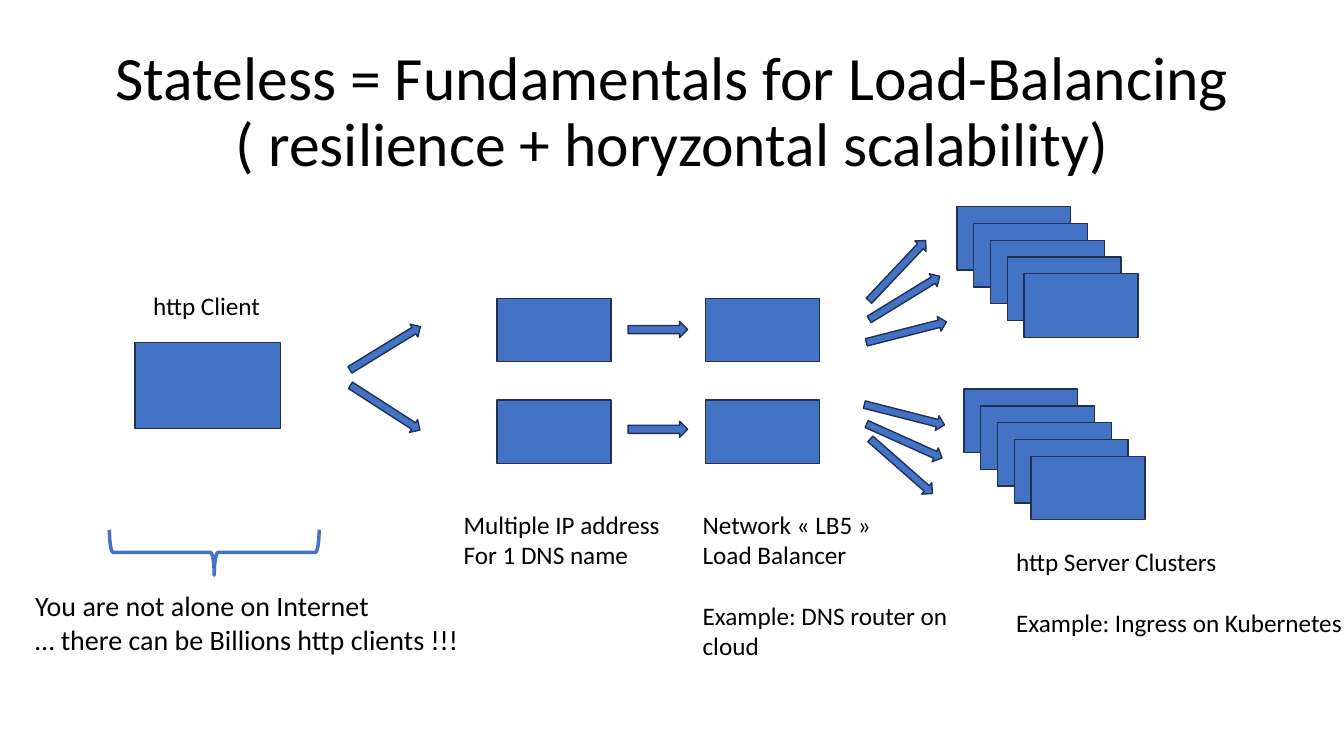
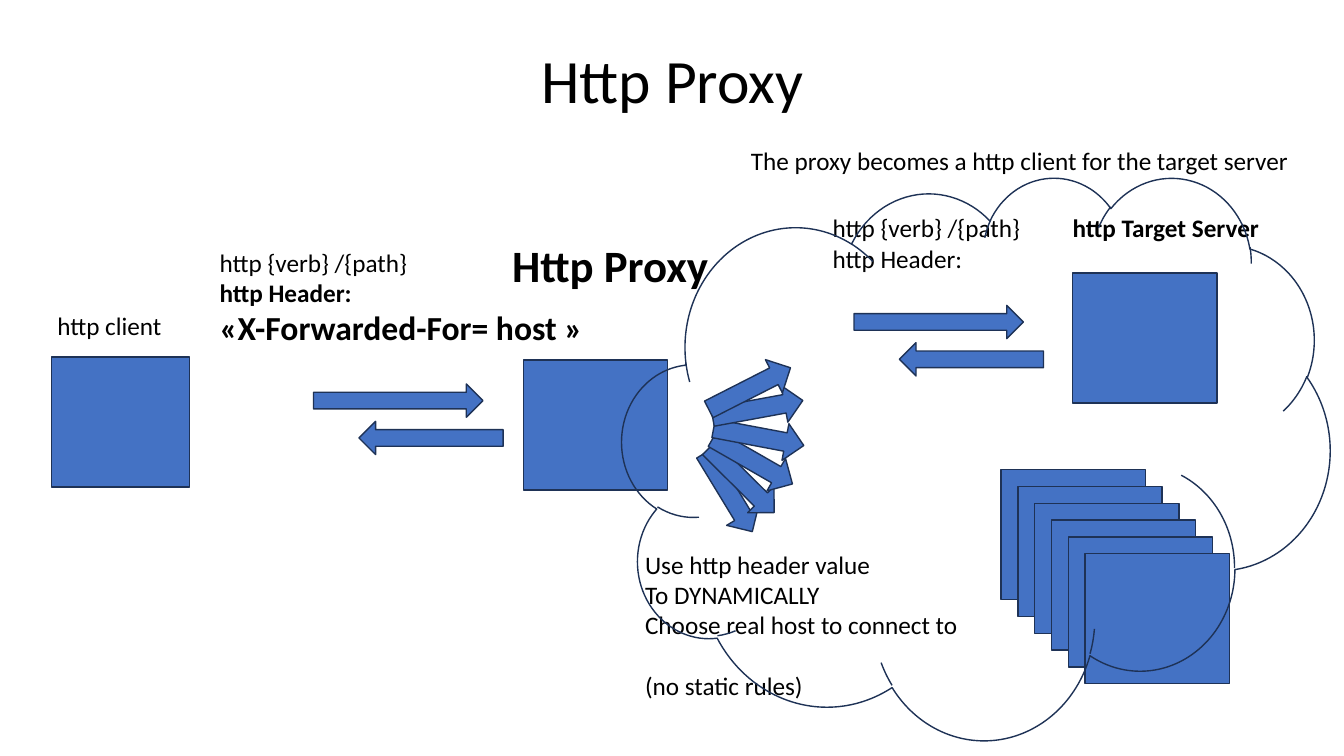
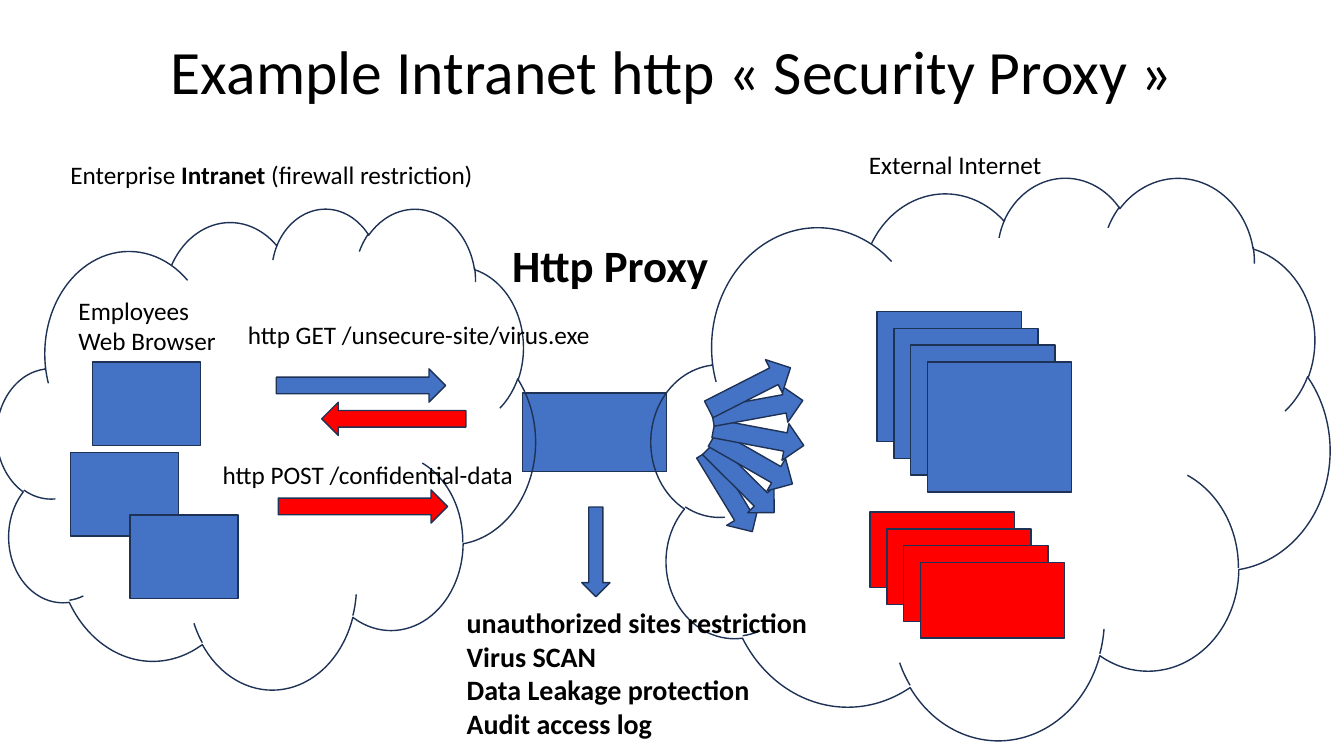
from pptx import Presentation
from pptx.dml.color import RGBColor
from pptx.enum.shapes import MSO_SHAPE
from pptx.enum.text import MSO_ANCHOR, MSO_AUTO_SIZE, PP_ALIGN
from pptx.util import Inches, Pt

RECT = MSO_SHAPE.RECTANGLE
RIGHT = MSO_SHAPE.RIGHT_ARROW
DOWN = MSO_SHAPE.DOWN_ARROW
CLOUD = MSO_SHAPE.CLOUD
BRACE = MSO_SHAPE.LEFT_BRACE
CENTER = PP_ALIGN.CENTER
MIDDLE = MSO_ANCHOR.MIDDLE
FIT = MSO_AUTO_SIZE.SHAPE_TO_FIT_TEXT
NO_FIT = MSO_AUTO_SIZE.NONE

COLS, ROWS = 13.33, 7.5
FONT = "Calibri"
BLUE, RED, NAVY, BLACK = "4472C4", "FF0000", "1E3256", "000000"
STEP = 1 / 6
BLANK_LINE = 22
BOLD = {"bold": True}


def color(value):
    return RGBColor.from_string(value)


def grid(box):
    return [Inches(v) for v in box]


def style(font, **extra):
    font.color.rgb = color(BLACK)
    for name, value in {"name": FONT, **extra}.items():
        setattr(font, name, value)


def shape(s, kind, box, fill=BLUE, rot=0, line=NAVY, width=1):
    sp = s.shapes.add_shape(kind, *grid(box))
    sp.shadow.inherit = False
    sp.rotation = rot
    if fill:
        sp.fill.solid()
        sp.fill.fore_color.rgb = color(fill)
    else:
        sp.fill.background()
    sp.line.color.rgb = color(line)
    sp.line.width = Pt(width)
    return sp


def text(s, box, lines, size=18, bold=False, gap_at=None):
    tf = s.shapes.add_textbox(*grid(box)).text_frame
    tf.word_wrap = False
    tf.auto_size = FIT
    for i, line in enumerate(lines):
        p = tf.add_paragraph() if i else tf.paragraphs[0]
        if i == gap_at:
            p.space_before = Pt(BLANK_LINE)
        for words, extra in [(line, {})] if isinstance(line, str) else line:
            r = p.add_run()
            r.text = words
            style(r.font, **{"size": Pt(size), "bold": bold, **extra})


def titled_slide(prs, title, top=0.4, height=1.45):
    s = prs.slides.add_slide(prs.slide_layouts[5])
    sp = s.shapes.title
    sp.left, sp.top, sp.width, sp.height = grid((0.92, top, 11.5, height))
    tf = sp.text_frame
    tf.text = title
    tf.word_wrap = True
    tf.auto_size = NO_FIT
    tf.vertical_anchor = MIDDLE
    p = tf.paragraphs[0]
    p.alignment = CENTER
    p.line_spacing = 0.9
    for r in p.runs:
        style(r.font, size=Pt(44))
    return s


def cascade(s, box, count, fill=BLUE):
    x, y, w, h = box
    for i in range(count):
        shape(s, RECT, (x + i * STEP, y + i * STEP, w, h), fill)


def spread(s, box, arrows):
    x, y, w, h = box
    for dx, dy, rot in arrows:
        shape(s, RIGHT, (x + dx, y + dy, w, h), rot=rot)


def fan(s, box):
    x, y, w, h = box
    for dx, dy, rot in ((0, 1.03, 328.7), (0.13, 0.91, 314.8), (0.24, 0.72, 299.8),
                        (0.3, 0.48, 280.7), (0.29, 0.2, 259.6), (0.21, 0, 243)):
        shape(s, DOWN, (x + dx, y + dy, w, h), rot=rot)


def exchange(s, x, y, drop=0.37, reply=BLUE):
    shape(s, RIGHT, (x, y, 1.68, 0.33))
    shape(s, RIGHT, (x + 0.45, y + drop, 1.43, 0.33), reply, 180)


def proxy(s, box):
    shape(s, RECT, box)
    text(s, (4.98, 2.31, 2.18, 0.64), ["Http Proxy"], 32, True)


def internet_clients(s, x, y):
    shape(s, RECT, (x + 1.09, y + 0.57, 1.44, 0.85))
    text(s, (x + 1.17, y, 1.28, 0.4), ["http Client"])
    shape(s, BRACE, (x + 1.65, y + 1.61, 0.45, 2.08), None, 270, BLUE, 2.5)
    text(s, (x, y + 2.96, 4.45, 0.77),
         ["You are not alone on Internet", "… there can be Billions http clients !!!"], 20)
    spread(s, (x + 3.16, y + 0.55, 0.82, 0.15), ((0, 0, 328.5), (0, 0.59, 32.8)))


def balancers(s, x, y):
    for row in range(2):
        top = y + row * 1.01
        for col in range(2):
            shape(s, RECT, (x + col * 2.07, top, 1.13, 0.63))
        shape(s, RIGHT, (x + 1.3, y + 0.23 + row * 0.99, 0.59, 0.16))
    text(s, (x - 0.43, y + 2.04, 2.17, 0.71), ["Multiple IP address", "For 1 DNS name"])
    text(s, (x + 1.94, y + 2.04, 2.91, 1.31),
         ["Network « LB5 »", "Load Balancer", "Example: DNS router on cloud"], gap_at=2)


def server_clusters(s, x, y):
    spread(s, (x, y, 0.82, 0.15),
           ((0.07, 0.83, 328.5), (0.09, 1.17, 345.7), (0, 0.56, 313.3),
            (0.07, 1.99, 14.3), (0.04, 2.5, 41.3), (0.07, 2.25, 24.2)))
    for dx, dy in ((1, 0), (1.07, 1.81)):
        cascade(s, (x + dx, y + dy, 1.13, 0.63), 5)
    text(s, (x + 1.49, y + 3.32, 3.47, 1.01),
         ["http Server Clusters", "Example: Ingress on Kubernetes"], gap_at=1)


def proxy_client(s, x, y):
    shape(s, RECT, (x + 0.04, y + 1.14, 1.37, 1.29))
    text(s, (x, y + 0.63, 1.25, 0.4), ["http client"])
    exchange(s, x + 2.64, y + 1.41)
    text(s, (x + 1.61, y, 3.85, 1.11),
         ["http {verb} /{path}", [("http Header:", BOLD)],
          [("«X-Forwarded-For= host »", {"bold": True, "size": Pt(24)})]])


def target_servers(s, box):
    x, y, w, h = box
    exchange(s, x + 2.3, y + 1.28)
    text(s, (x + 1.99, y + 0.31, 2.09, 0.71), ["http {verb} /{path}", "http Header:"])
    shape(s, RECT, (x + 4.47, y + 0.96, 1.43, 1.29))
    cascade(s, (x + 3.76, y + 2.91, 1.43, 1.29), 6)
    text(s, (x + 0.13, y + 3.65, 3.34, 1.62),
         ["Use http header value", "To DYNAMICALLY", "Choose real host to connect to",
          "(no static rules)"], gap_at=3)
    text(s, (x + 1.18, y - 0.36, 5.6, 0.4),
         ["The proxy becomes a http client for the target server"])
    text(s, (x + 4.37, y + 0.31, 2.07, 0.4), [[("http Target Server", BOLD)]])
    shape(s, CLOUD, box, None)


def intranet(s, box):
    x, y, w, h = box
    for dx, dy in ((0.95, 1.53), (0.73, 2.43), (1.32, 3.05)):
        shape(s, RECT, (x + dx, y + dy, 1.07, 0.83))
    exchange(s, x + 2.77, y + 1.6, 0.33, RED)
    shape(s, RIGHT, (x + 2.79, y + 2.8, 1.68, 0.33), RED)
    shape(s, CLOUD, box, None)
    text(s, (x + 0.63, y - 0.53, 4.27, 0.4),
         [[("Enterprise ", {}), ("Intranet", BOLD), (" (firewall restriction)", {})]])
    text(s, (x + 0.71, y + 0.82, 1.58, 0.71), ["Employees", "Web Browser"])
    text(s, (x + 2.39, y + 1.06, 3.63, 0.4), ["http GET /unsecure-site/virus.exe"])
    text(s, (x + 2.14, y + 2.45, 3.12, 0.4), ["http POST /confidential-data"])


def internet(s, box):
    x, y, w, h = box
    cascade(s, (x + 2.24, y + 1.34, 1.43, 1.29), 4)
    cascade(s, (x + 2.17, y + 3.33, 1.43, 0.75), 4, RED)
    shape(s, CLOUD, box, None)
    text(s, (x + 2.06, y - 0.32, 1.93, 0.4), ["External Internet"])


def controls(s, x, y):
    shape(s, DOWN, (x + 1.24, y, 0.28, 0.89))
    text(s, (x, y + 0.93, 3.61, 1.45),
         ["unauthorized sites restriction", "Virus SCAN",
          "Data Leakage protection", "Audit access log"], 20, True)


def main():
    prs = Presentation()
    prs.slide_width, prs.slide_height = grid((COLS, ROWS))
    fan_box = (7.04, 3.4, 0.37, 0.91)

    s = titled_slide(prs, "Stateless = Fundamentals for Load-Balancing\v"
                          "( resilience + horyzontal scalability)")
    internet_clients(s, 0.25, 2.83)
    balancers(s, 4.93, 2.96)
    server_clusters(s, 8.49, 2.05)

    s = titled_slide(prs, "Http Proxy", height=0.86)
    fan(s, fan_box)
    proxy(s, (5.19, 3.57, 1.43, 1.29))
    proxy_client(s, 0.47, 2.4)
    target_servers(s, (6.17, 1.75, 7.02, 5.58))

    s = titled_slide(prs, "Example Intranet http « Security Proxy »", 0.01)
    fan(s, fan_box)
    proxy(s, (5.18, 3.9, 1.43, 0.78))
    internet(s, (6.46, 1.75, 6.73, 5.58))
    intranet(s, (-0.03, 2.06, 5.34, 4.77))
    controls(s, 4.53, 5.03)

    prs.save("out.pptx")


if __name__ == "__main__":
    main()
